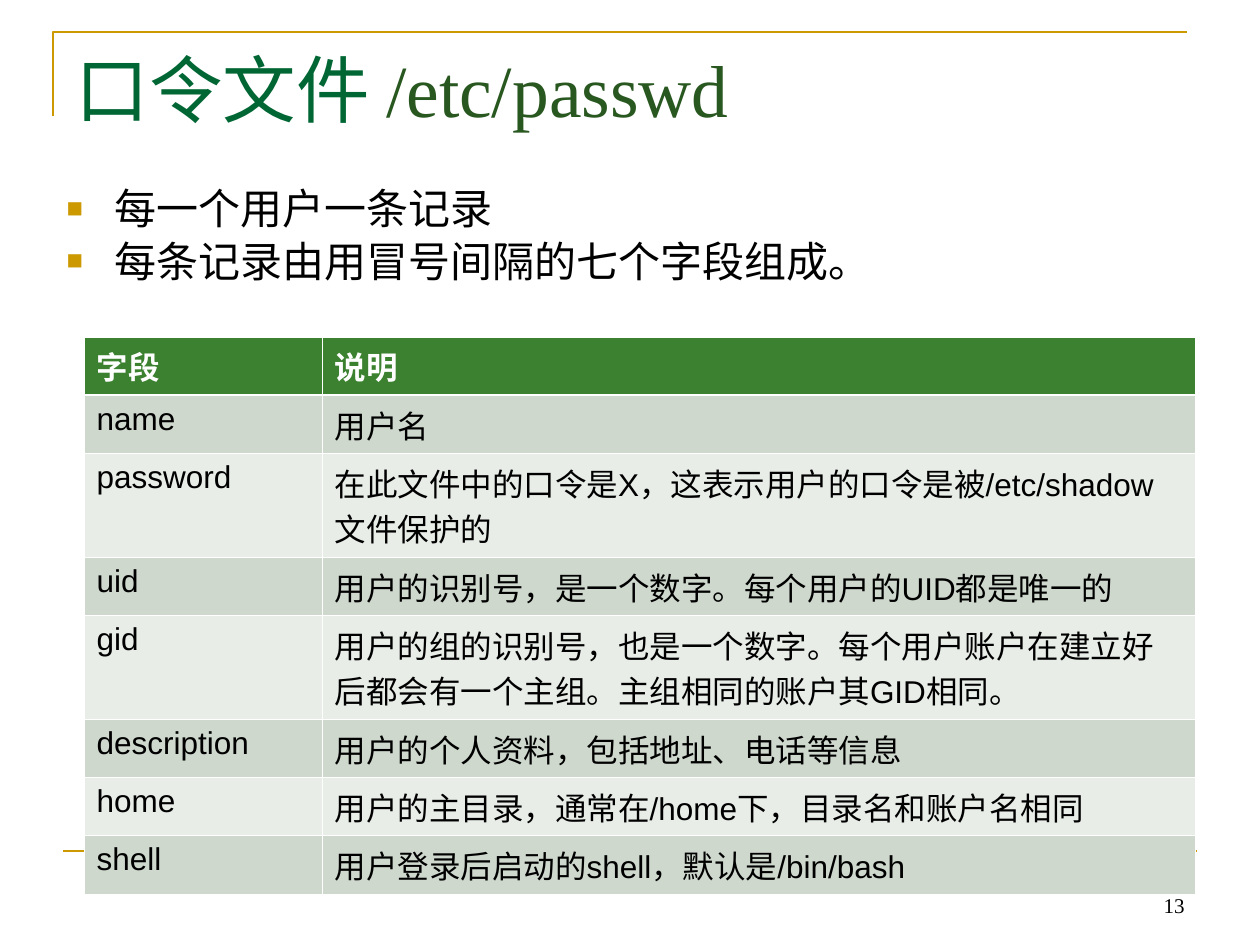
from dataclasses import dataclass

from lxml.etree import SubElement
from pptx import Presentation
from pptx.dml.color import RGBColor
from pptx.enum.shapes import MSO_CONNECTOR
from pptx.enum.text import MSO_ANCHOR, MSO_AUTO_SIZE, PP_ALIGN
from pptx.oxml import parse_xml
from pptx.oxml.ns import nsdecls, qn
from pptx.util import Emu, Pt

PX_PER_INCH = 126
GOLD, GREEN, DARK_GREEN = "CC9900", "006633", "28571F"
BLACK, WHITE = "000000", "FFFFFF"
HEADER_FILL, BAND_FILLS = "3B812F", ("CED8CD", "E8EDE8")
THIN, THICK = 0.45, 1.47


@dataclass
class Field:
    name: str
    meaning: str
    height: int = 51


FIELDS = [
    Field("字段", "说明"),
    Field("name", "用户名"),
    Field("password", "在此文件中的口令是X，这表示用户的口令是被/etc/shadow文件保护的", 88),
    Field("uid", "用户的识别号，是一个数字。每个用户的UID都是唯一的"),
    Field("gid", "用户的组的识别号，也是一个数字。每个用户账户在建立好后都会有一个主组。"
          "主组相同的账户其GID相同。", 88),
    Field("description", "用户的个人资料，包括地址、电话等信息"),
    Field("home", "用户的主目录，通常在/home下，目录名和账户名相同"),
    Field("shell", "用户登录后启动的shell，默认是/bin/bash"),
]
POINTS = ["每一个用户一条记录", "每条记录由用冒号间隔的七个字段组成。"]


def px(value: int) -> Emu:
    return Emu(round(value * 914400 / PX_PER_INCH))


def color(value: str) -> RGBColor:
    return RGBColor.from_string(value)


def place(shape, left: int, top: int, width: int, height: int) -> None:
    shape.left, shape.top = px(left), px(top)
    shape.width, shape.height = px(width), px(height)


def prepare(frame, anchor=MSO_ANCHOR.TOP) -> None:
    frame.word_wrap = True
    frame.auto_size = MSO_AUTO_SIZE.NONE
    frame.vertical_anchor = anchor


def write(para, text: str, *, size: int, ink: str = BLACK, font: str = "Arial",
          bold: bool = False, align=PP_ALIGN.LEFT) -> None:
    para.alignment = align
    span = para.add_run()
    span.text = text
    span.font.size, span.font.name, span.font.bold = Pt(size), font, bold
    span.font.color.rgb = color(ink)


def add_bullet(para) -> None:
    props = para._p.get_or_add_pPr()
    props.set("marL", str(px(48)))
    props.set("indent", str(-px(48)))
    bullet_color = SubElement(props, qn("a:buClr"))
    SubElement(bullet_color, qn("a:srgbClr"), val=GOLD)
    SubElement(props, qn("a:buSzPct"), val="65000")
    SubElement(props, qn("a:buFont"), typeface="Arial")
    SubElement(props, qn("a:buChar"), char="■")


def style_line(shape) -> None:
    shape.line.color.rgb = color(GOLD)
    shape.line.width = Pt(1.5)


def set_borders(cell, top: float, bottom: float) -> None:
    props = cell._tc.get_or_add_tcPr()
    sides = {"lnL": THIN, "lnR": THIN, "lnT": top, "lnB": bottom}
    for index, (side, width) in enumerate(sides.items()):
        props.insert(index, parse_xml(
            f'<a:{side} {nsdecls("a")} w="{Pt(width)}"><a:solidFill>'
            f'<a:srgbClr val="{WHITE}"/></a:solidFill></a:{side}>'))


def add_rules(page) -> None:
    builder = page.shapes.build_freeform(53, 116, scale=914400 / PX_PER_INCH)
    builder.add_line_segments([(53, 32), (1187, 32)], close=False)
    corner = builder.convert_to_shape()
    corner.fill.background()
    corner.shadow.inherit = False
    style_line(corner)

    footer_rule = page.shapes.add_connector(
        MSO_CONNECTOR.STRAIGHT, px(63), px(851), px(1197), px(851))
    style_line(footer_rule)
    SubElement(footer_rule._element.spPr, qn("a:effectLst"))


def add_title(page) -> None:
    title = page.shapes.title
    place(title, 63, 38, 1134, 158)
    prepare(title.text_frame)
    para = title.text_frame.paragraphs[0]
    for text, ink in (("口令文件 ", GREEN), ("/etc/passwd", DARK_GREEN)):
        write(para, text, size=42, ink=ink, font="Times New Roman")


def add_points(page) -> None:
    body = page.placeholders[1]
    place(body, 54, 185, 1134, 132)
    frame = body.text_frame
    prepare(frame)
    for index, text in enumerate(POINTS):
        para = frame.add_paragraph() if index else frame.paragraphs[0]
        para.space_before = Pt(6)
        para.line_spacing = 0.83
        add_bullet(para)
        write(para, text, size=24)


def add_page_number(page) -> None:
    box = page.shapes.add_textbox(px(903), px(861), px(294), px(63))
    prepare(box.text_frame, MSO_ANCHOR.BOTTOM)
    write(box.text_frame.paragraphs[0], "13", size=12,
          font="Times New Roman", align=PP_ALIGN.RIGHT)


def add_field_table(page) -> None:
    widths = (238, 873)
    table = page.shapes.add_table(
        len(FIELDS), len(widths), px(84), px(337), px(sum(widths)),
        px(sum(field.height for field in FIELDS))).table
    table.horz_banding = False
    for column, width in zip(table.columns, widths):
        column.width = px(width)
    for index, field in enumerate(FIELDS):
        header = index == 0
        table.rows[index].height = px(field.height)
        for cell, text in zip(table.rows[index].cells, (field.name, field.meaning)):
            cell.fill.solid()
            cell.fill.fore_color.rgb = color(
                HEADER_FILL if header else BAND_FILLS[(index - 1) % 2])
            set_borders(cell, top=THICK if index == 1 else THIN,
                        bottom=THICK if header else THIN)
            write(cell.text_frame.paragraphs[0], text, size=18,
                  ink=WHITE if header else BLACK, bold=header)


def main() -> None:
    deck = Presentation()
    deck.slide_width, deck.slide_height = px(1260), px(945)
    page = deck.slides.add_slide(deck.slide_layouts[1])
    page.background.fill.solid()
    page.background.fill.fore_color.rgb = color(WHITE)
    add_rules(page)
    add_title(page)
    add_points(page)
    add_page_number(page)
    add_field_table(page)
    deck.save("out.pptx")


if __name__ == "__main__":
    main()
